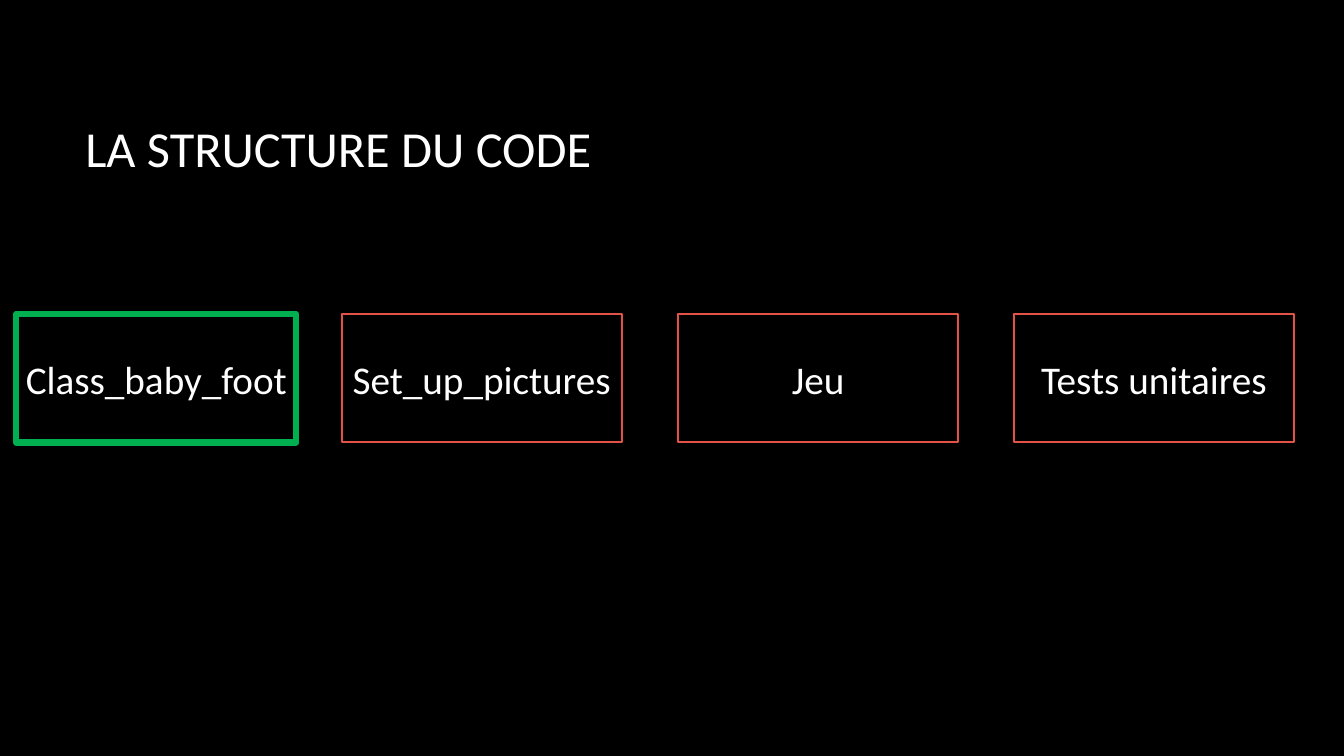
import pptx
import pptx.dml.color
import pptx.enum.shapes
import pptx.enum.text
import pptx.util
from pptx.util import Cm

FONT = "Calibri"
WHITE = "FFFFFF"
GREEN = "00B050"
RED = "E25247"

# Module name, left edge (cm), outline colour, outline width (pt)
MODULES = [
    ("Class_baby_foot", 0.41, GREEN, 4.5),
    ("Set_up_pictures", 8.61, RED, 1.5),
    ("Jeu", 17.09, RED, 1.5),
    ("Tests unitaires", 25.55, RED, 1.5),
]
MODULE_TOP, MODULE_WIDTH, MODULE_HEIGHT = 7.92, 7.06, 3.23
LABEL_WIDTH, LABEL_HEIGHT = 7.6, 1.45


def color(hex_value):
    return pptx.dml.color.RGBColor.from_string(hex_value)


def add_text(shapes, left, top, width, height, text, size, align):
    """Add a vertically centred line of white text in the given box (cm)."""
    box = shapes.add_textbox(Cm(left), Cm(top), Cm(width), Cm(height))
    frame = box.text_frame
    frame.word_wrap = True
    frame.vertical_anchor = pptx.enum.text.MSO_ANCHOR.MIDDLE
    para = frame.paragraphs[0]
    para.text = text
    para.alignment = align
    para.font.name = FONT
    para.font.size = pptx.util.Pt(size)
    para.font.color.rgb = color(WHITE)


def add_title(page, left, top, width, height):
    add_text(page.shapes, left, top, width, height, "LA STRUCTURE DU CODE",
             36, pptx.enum.text.PP_ALIGN.LEFT)


def add_module(page, left, top, width, height, name, outline, weight):
    """Group an outlined rectangle with a label centred on it."""
    group = page.shapes.add_group_shape()
    frame = group.shapes.add_shape(
        pptx.enum.shapes.MSO_SHAPE.RECTANGLE,
        Cm(left), Cm(top), Cm(width), Cm(height))
    frame.shadow.inherit = False
    frame.fill.background()
    frame.line.color.rgb = color(outline)
    frame.line.width = pptx.util.Pt(weight)
    add_text(group.shapes,
             left + (width - LABEL_WIDTH) / 2, top + (height - LABEL_HEIGHT) / 2,
             LABEL_WIDTH, LABEL_HEIGHT, name, 28,
             pptx.enum.text.PP_ALIGN.CENTER)


def main():
    deck = pptx.Presentation()
    deck.slide_width, deck.slide_height = Cm(33.87), Cm(19.05)
    page = deck.slides.add_slide(deck.slide_layouts[6])
    page.background.fill.solid()
    page.background.fill.fore_color.rgb = color("000000")

    add_title(page, 1.9, 1.7, 28.15, 4.04)
    for name, left, outline, weight in MODULES:
        add_module(page, left, MODULE_TOP, MODULE_WIDTH, MODULE_HEIGHT,
                   name, outline, weight)
    deck.save("out.pptx")


if __name__ == "__main__":
    main()
